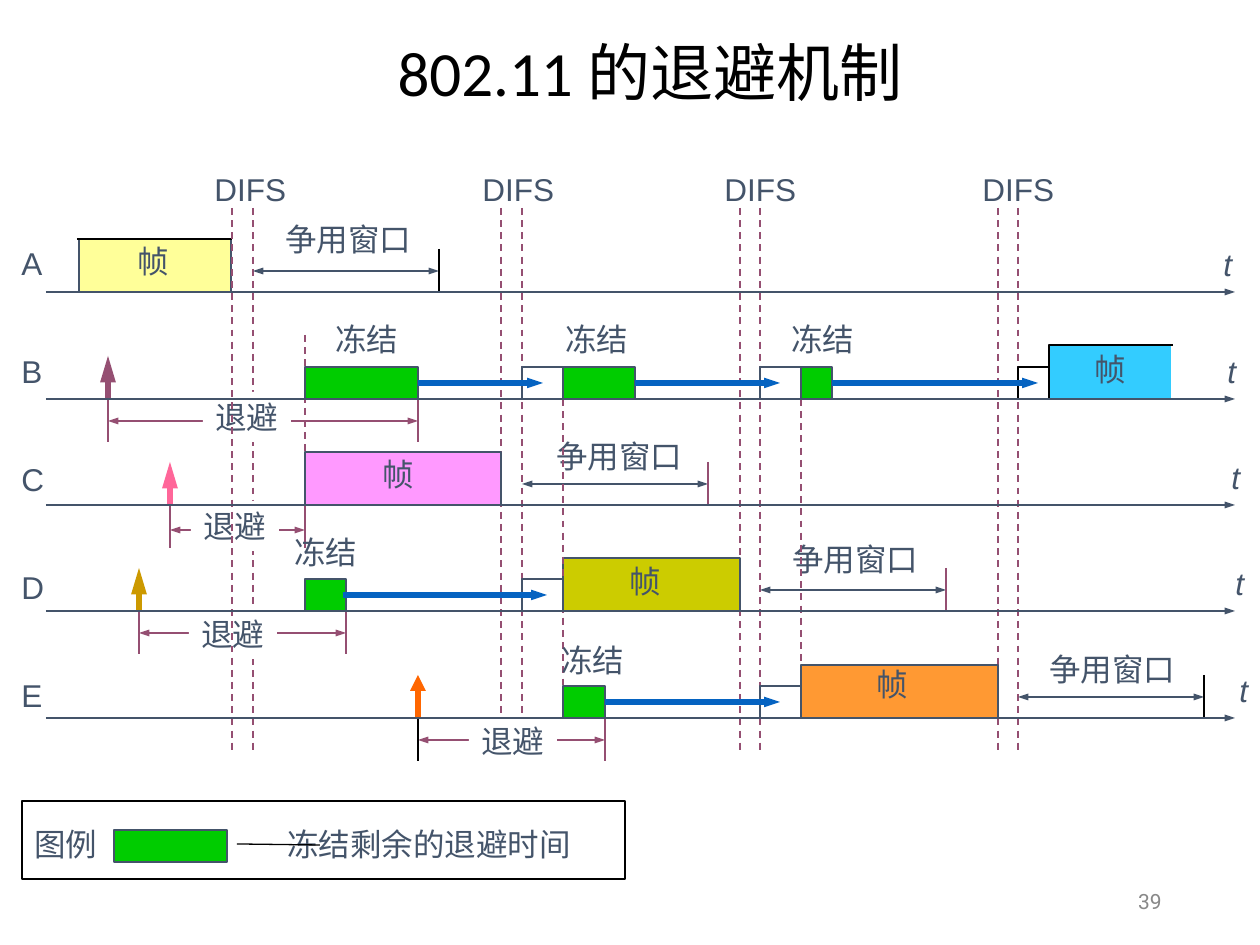
from pptx import Presentation
from pptx.dml.color import RGBColor
from pptx.enum.dml import MSO_LINE
from pptx.enum.shapes import MSO_CONNECTOR, MSO_SHAPE
from pptx.enum.text import MSO_ANCHOR, MSO_AUTO_SIZE, PP_ALIGN
from pptx.oxml.ns import qn
from pptx.util import Pt
from lxml.etree import SubElement

PX = 914400 / 126

BLACK = RGBColor(0x00, 0x00, 0x00)
WHITE = RGBColor(0xFF, 0xFF, 0xFF)
GRAY = RGBColor(0x89, 0x89, 0x89)
SLATE = RGBColor(0x44, 0x54, 0x6A)
PLUM = RGBColor(0x95, 0x4F, 0x72)
BLUE = RGBColor(0x05, 0x63, 0xC1)
GREEN = RGBColor(0x00, 0xCC, 0x00)
YELLOW = RGBColor(0xFF, 0xFF, 0x99)
CYAN = RGBColor(0x33, 0xCC, 0xFF)
VIOLET = RGBColor(0xFF, 0x99, 0xFF)
OLIVE = RGBColor(0xCC, 0xCC, 0x00)
ORANGE = RGBColor(0xFF, 0x99, 0x33)
PINK = RGBColor(0xFF, 0x66, 0x99)
OCHRE = RGBColor(0xCC, 0x99, 0x00)
VERMILION = RGBColor(0xFF, 0x66, 0x00)

AXIS_Y = {"A": 292, "B": 399, "C": 505, "D": 611, "E": 718}
FRAME_H = 53
SLOT_H = 32
TICK_H = 43
WINDOW_W = 186

# left dashed line, right dashed line, label left
DIFS = [(232, 253, 202), (501, 522, 470), (740, 760, 712), (998, 1018, 970)]
# station, left, right, fill, outline, label left, label top
FRAMES = [
    ("A", 79, 231, YELLOW, SLATE, 125, 236),
    ("B", 1049, 1171, CYAN, None, 1082, 344),
    ("C", 305, 501, VIOLET, SLATE, 370, 449),
    ("D", 563, 740, OLIVE, SLATE, 617, 556),
    ("E", 801, 998, ORANGE, SLATE, 864, 659),
]
# x, top, bottom
SLOT_GUIDES = [(305, 335, 452), (563, 399, 687), (801, 399, 665)]
# station, x, colour, head length
ARRIVALS = [("B", 108, PLUM, "lg"), ("C", 170, PINK, "lg"),
            ("D", 139, OCHRE, "lg"), ("E", 418, VERMILION, "med")]
# station, left, tick colour, tick width, label left, label top
WINDOWS = [
    ("A", 253, BLACK, 0.75, 273, 214),
    ("C", 522, PLUM, 1, 544, 431),
    ("D", 760, PLUM, 1, 780, 534),
    ("E", 1018, BLACK, 0.75, 1037, 644),
]
# station, left, right, fill, outline, outline width
SLOTS = [
    ("B", 305, 418, GREEN, SLATE, 1),
    ("B", 522, 563, WHITE, SLATE, 1),
    ("B", 563, 635, GREEN, SLATE, 1),
    ("B", 760, 801, WHITE, SLATE, 1),
    ("B", 801, 832, GREEN, SLATE, 1),
    ("B", 1018, 1049, WHITE, BLACK, 1),
    ("D", 305, 346, GREEN, SLATE, 1),
    ("D", 522, 563, WHITE, SLATE, 1.5),
    ("E", 563, 605, GREEN, SLATE, 1),
    ("E", 760, 801, None, SLATE, 1),
]
# station, start, end, arrow y, label left, label top, start tick colour and width
BACKOFFS = [
    ("B", 108, 418, 421, 203, 392, PLUM, 1),
    ("C", 170, 305, 530, 191, 501, PLUM, 1),
    ("D", 139, 346, 633, 189, 609, PLUM, 1),
    ("E", 418, 605, 740, 469, 716, BLACK, 0.75),
]
# station, start, end
CARRY_OVERS = [("B", 418, 543), ("B", 635, 780), ("B", 832, 1038),
               ("D", 343, 547), ("E", 605, 780)]
FREEZE_LABELS = [(323, 314), (553, 314), (779, 314), (282, 527), (549, 635)]


def px(n):
    return round(n * PX)


def add_line(s, x1, y1, x2, y2, color, width, dash=False, ends=(),
             head_w="sm", head_len="med"):
    """Draw a line; ends may hold headEnd and tailEnd for arrowheads."""
    c = s.shapes.add_connector(MSO_CONNECTOR.STRAIGHT,
                               px(x1), px(y1), px(x2), px(y2))
    c.line.color.rgb = color
    c.line.width = Pt(width)
    if dash:
        c.line.dash_style = MSO_LINE.DASH
    ln = c.line._get_or_add_ln()
    for end in ends:
        SubElement(ln, qn(f"a:{end}"), type="triangle", w=head_w, len=head_len)
    SubElement(c._element.spPr, qn("a:effectLst"))


def add_arrow(s, x1, y1, x2, y2, color, width, **head):
    add_line(s, x1, y1, x2, y2, color, width, ends=("tailEnd",), **head)


def add_span(s, x1, x2, y, color):
    add_line(s, x1, y, x2, y, color, 1.5, ends=("headEnd", "tailEnd"))


def paint(shape, fill, outline, width):
    shape.shadow.inherit = False
    if fill is None:
        shape.fill.background()
    else:
        shape.fill.solid()
        shape.fill.fore_color.rgb = fill
    if outline is None:
        shape.line.fill.background()
    else:
        shape.line.color.rgb = outline
        shape.line.width = Pt(width)


def add_box(s, x, y, w, h, fill, outline, width=1):
    sp = s.shapes.add_shape(MSO_SHAPE.RECTANGLE, px(x), px(y), px(w), px(h))
    paint(sp, fill, outline, width)


def add_text(s, text, x, y, w, h=50, size=18, font="Arial", color=SLATE):
    sp = s.shapes.add_textbox(px(x), px(y), px(w), px(h))
    sp.text_frame.text = text
    p = sp.text_frame.paragraphs[0]
    f = p.runs[0].font
    f.name, f.size, f.color.rgb = font, Pt(size), color
    return sp, p


def add_label(s, text, x, y, w, fill=None, italic=None):
    sp, p = add_text(s, text, x, y, w)
    sp.text_frame.word_wrap = False
    sp.text_frame.auto_size = MSO_AUTO_SIZE.SHAPE_TO_FIT_TEXT
    p.runs[0].font.italic = italic
    if fill is not None:
        paint(sp, fill, None, 0)


def add_block_text(s, text, x, y, w, h, align, **style):
    sp, p = add_text(s, text, x, y, w, h, **style)
    sp.text_frame.word_wrap = True
    sp.text_frame.vertical_anchor = MSO_ANCHOR.MIDDLE
    p.alignment = align
    return p


def add_frames(s):
    for station, x1, x2, fill, outline, lx, ly in FRAMES:
        add_box(s, x1, AXIS_Y[station] - FRAME_H, x2 - x1, FRAME_H, fill, outline)
        add_label(s, "帧", lx, ly, 57)
    add_line(s, 77, 239, 232, 239, BLACK, 0.75)
    builder = s.shapes.build_freeform(px(1049), px(399), scale=1.0)
    builder.add_line_segments([(px(1049), px(345)), (px(1173), px(345))], close=False)
    paint(builder.convert_to_shape(), None, BLACK, 0.75)


def add_windows(s):
    for station, x, color, width, lx, ly in WINDOWS:
        y, end = AXIS_Y[station], x + WINDOW_W
        add_span(s, x, end, y - 21, SLATE)
        add_line(s, end, y - TICK_H, end, y, color, width)
        add_label(s, "争用窗口", lx, ly, 151)


def add_backoffs(s):
    for station, x1, x2, y, lx, ly, color, width in BACKOFFS:
        axis = AXIS_Y[station]
        add_span(s, x1, x2, y, PLUM)
        add_label(s, "退避", lx, ly, 88, fill=WHITE)
        add_line(s, x1, axis, x1, axis + TICK_H, color, width)
        add_line(s, x2, axis, x2, axis + TICK_H, PLUM, 1)


def add_legend(s):
    add_label(s, "图例", 22, 819, 88)
    add_label(s, "冻结剩余的退避时间", 275, 819, 309)
    add_box(s, 114, 830, 113, 32, GREEN, SLATE, 1.5)
    add_line(s, 237, 844, 320, 845, BLACK, 0.75)
    add_box(s, 22, 801, 603, 78, None, BLACK, 0.75)


def main():
    prs = Presentation()
    prs.slide_width, prs.slide_height = px(1260), px(945)
    s = prs.slides.add_slide(prs.slide_layouts[6])

    dashed = [x for x1, x2, _ in DIFS for x in (x1, x2)]
    for x in dashed[1:]:
        add_line(s, x, 208, x, 750, PLUM, 1, dash=True)
    for _, _, x in DIFS:
        add_label(s, "DIFS", x, 164, 97)
    add_frames(s)
    for station, x, color, length in ARRIVALS:
        y = AXIS_Y[station]
        add_arrow(s, x, y, x, y - TICK_H, color, 3, head_w="med", head_len=length)
    add_windows(s)
    for x, top, bottom in SLOT_GUIDES:
        add_line(s, x, top, x, bottom, PLUM, 1, dash=True)
    for station, x1, x2, fill, outline, width in SLOTS:
        add_box(s, x1, AXIS_Y[station] - SLOT_H, x2 - x1, SLOT_H,
                fill, outline, width)
    add_backoffs(s)
    # The first dashed line runs in front of the backoff labels.
    add_line(s, dashed[0], 208, dashed[0], 750, PLUM, 1, dash=True)
    for station, x1, x2 in CARRY_OVERS:
        y = AXIS_Y[station] - 16
        add_arrow(s, x1, y, x2, y, BLUE, 3)
    for x, y in FREEZE_LABELS:
        add_label(s, "冻结", x, y, 88)
    for i, (station, y) in enumerate(AXIS_Y.items()):
        add_label(s, station, 9, 238 + 108 * i, 47)
        add_label(s, "t", 1211 + 4 * i, y - 53, 34, italic=True)
        add_arrow(s, 46, y, 1235, y, SLATE, 1.5)
    add_legend(s)

    title = add_block_text(s, "802.11 的退避机制", 113, 26, 1074, 100,
                           PP_ALIGN.CENTER, size=36, font="Calibri", color=BLACK)
    title.line_spacing = 0.9
    add_block_text(s, "39", 890, 876, 284, 50, PP_ALIGN.RIGHT,
                   size=12, font="Roboto", color=GRAY)
    prs.save("out.pptx")


if __name__ == "__main__":
    main()
